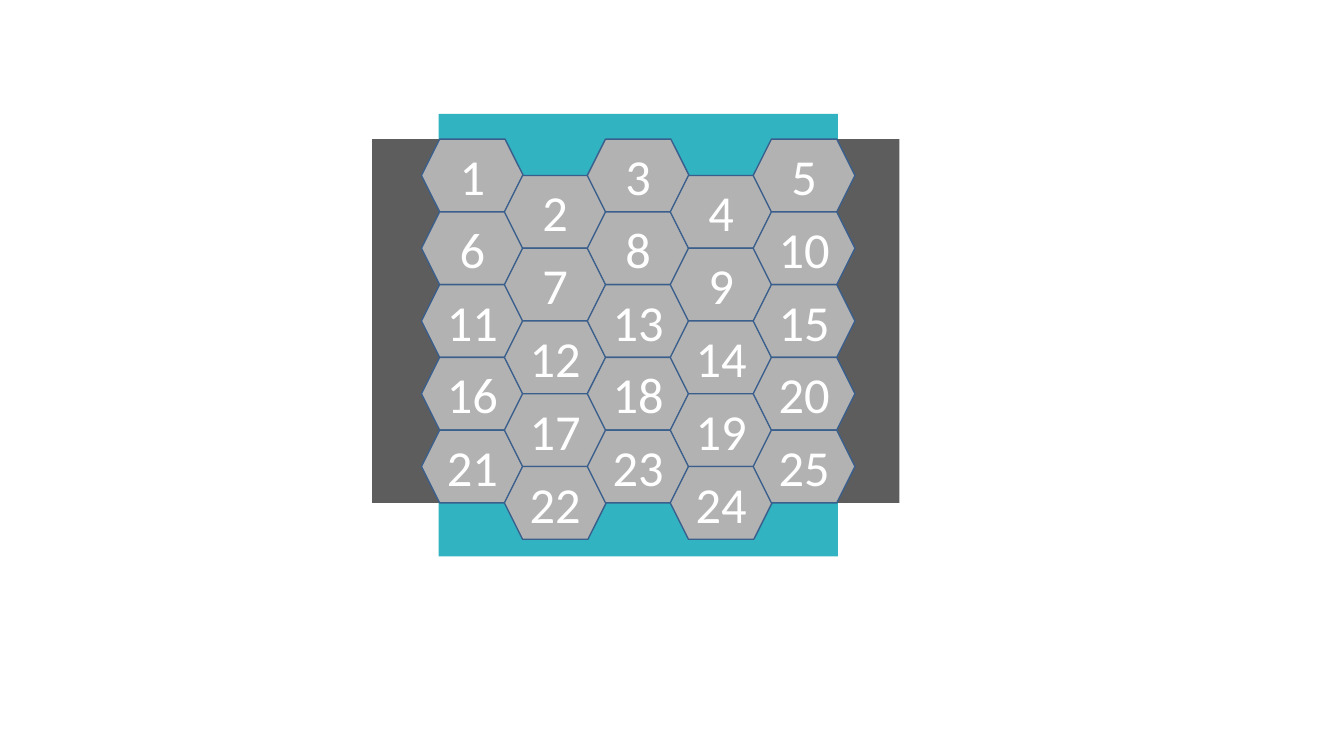
from dataclasses import dataclass

from pptx import Presentation
from pptx import util as u
from pptx.dml.color import RGBColor
from pptx.enum import shapes, text


@dataclass(frozen=True)
class Theme:
    """Colours and type of the slide."""
    band: str = "31B3C2"
    rail: str = "5D5D5D"
    cell: str = "B2B2B2"
    outline: str = "3A5F8C"
    number: str = "FFFFFF"
    font: str = "Calibri"
    size: int = 36
    line: int = 1


@dataclass(frozen=True)
class Box:
    """A rectangle in inches."""
    x: float
    y: float
    w: float
    h: float


THEME = Theme()
COLS, ROWS = 5, 5
CELL_W = 1.01


def add_filled(s, kind, box, color):
    """Add a flat shape without an outline."""
    sp = s.shapes.add_shape(kind, *map(u.Inches, (box.x, box.y, box.w, box.h)))
    sp.shadow.inherit = False
    sp.fill.solid()
    sp.fill.fore_color.rgb = RGBColor.from_string(color)
    sp.line.fill.background()
    return sp


def add_frame(s, box):
    """Add the bands above and below the board and the rails beside it."""
    band_h, rail_w = 0.61, 0.67
    rail_h = box.h * ROWS / (ROWS + 0.5)
    for y in (box.y - 0.25, box.y + box.h + 0.17 - band_h):
        band = Box(box.x + 0.17, y, box.w - 0.34, band_h)
        add_filled(s, shapes.MSO_SHAPE.RECTANGLE, band, THEME.band)
    for x in (box.x - 0.49, box.x + box.w + 0.44 - rail_w):
        rail = Box(x, box.y, rail_w, rail_h)
        add_filled(s, shapes.MSO_SHAPE.RECTANGLE, rail, THEME.rail)


def add_cell(s, box, number):
    """Add one numbered hexagon."""
    sp = add_filled(s, shapes.MSO_SHAPE.HEXAGON, box, THEME.cell)
    sp.line.color.rgb = RGBColor.from_string(THEME.outline)
    sp.line.width = u.Pt(THEME.line)
    tf = sp.text_frame
    tf.text = str(number)
    tf.word_wrap = False
    tf.vertical_anchor = text.MSO_ANCHOR.MIDDLE
    p = tf.paragraphs[0]
    p.alignment = text.PP_ALIGN.CENTER
    r = p.runs[0]
    r.font.name = THEME.font
    r.font.size = u.Pt(THEME.size)
    r.font.color.rgb = RGBColor.from_string(THEME.number)


def add_honeycomb(s, box):
    """Fill the box with hexagons, every second column half a cell lower."""
    pitch = (box.w - CELL_W) / (COLS - 1)
    cell_h = box.h / (ROWS + 0.5)
    for col in range(COLS):
        for row in range(ROWS):
            y = box.y + (row + col % 2 / 2) * cell_h
            cell = Box(box.x + col * pitch, y, CELL_W, cell_h)
            add_cell(s, cell, row * COLS + col + 1)


def main():
    """Build and save the slide."""
    prs = Presentation()
    prs.slide_width, prs.slide_height = u.Inches(13.33), u.Inches(7.5)
    s = prs.slides.add_slide(prs.slide_layouts[6])
    board = Box(4.18, 1.38, 4.3, 3.97)
    add_frame(s, board)
    add_honeycomb(s, board)
    prs.save("out.pptx")


if __name__ == "__main__":
    main()
